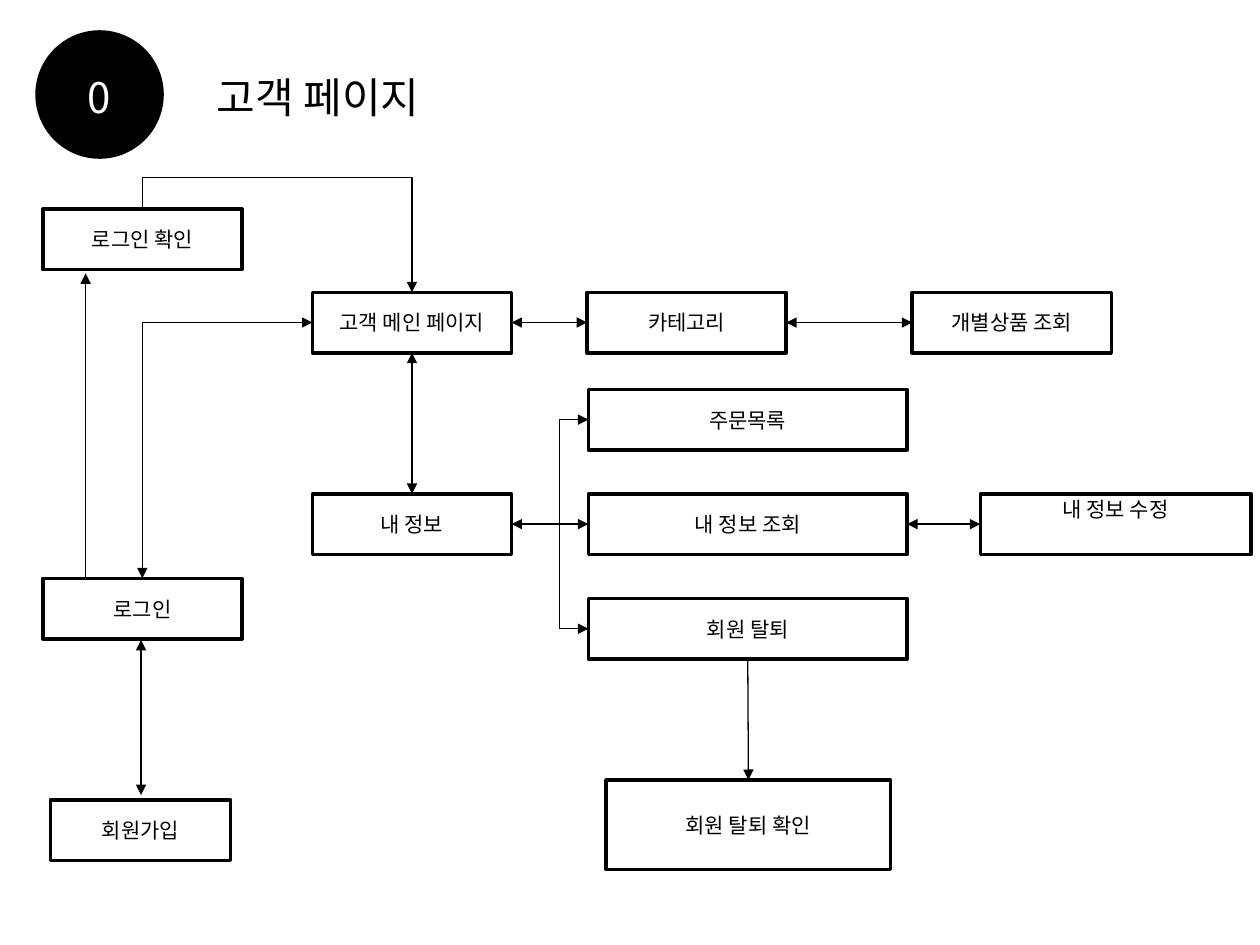
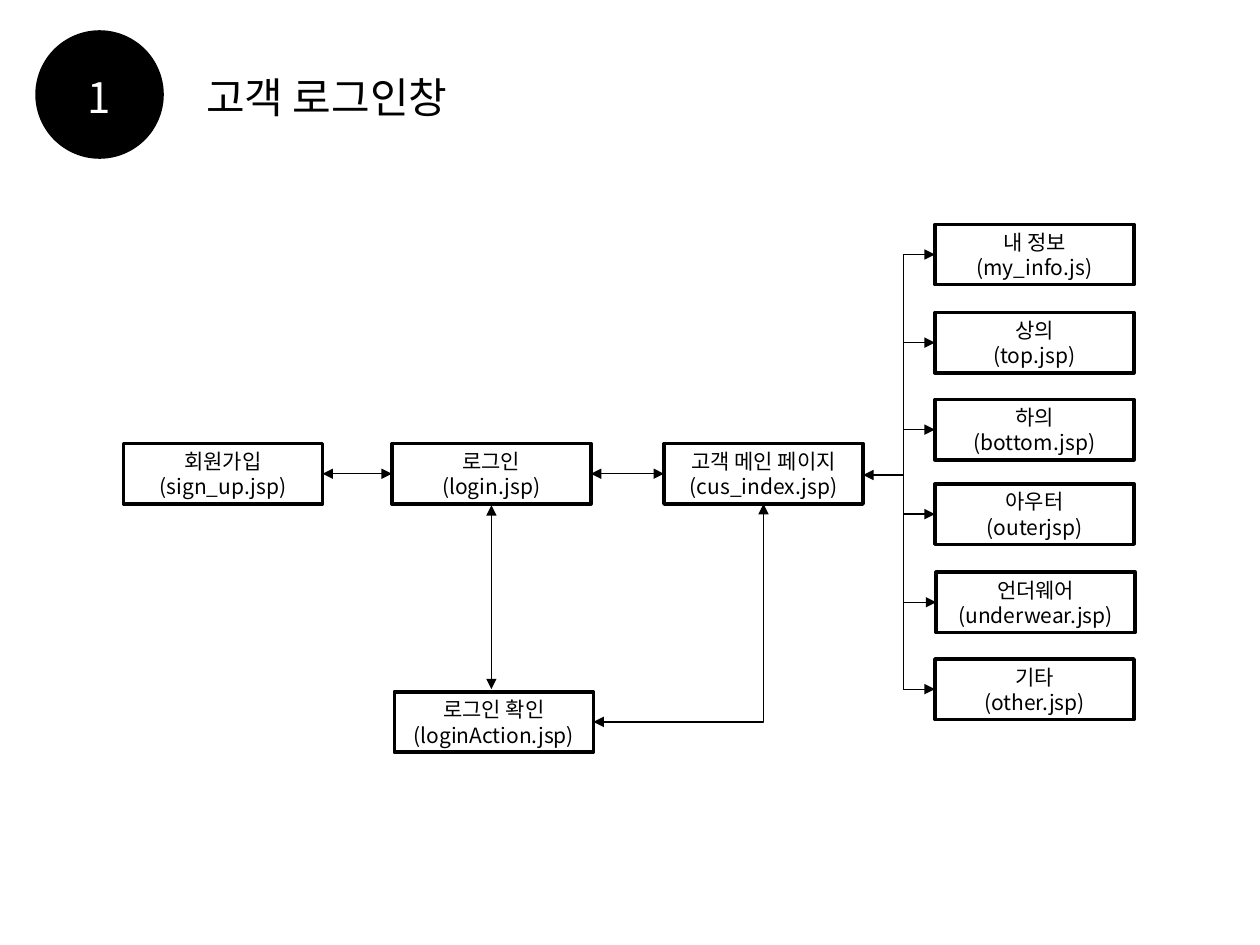
from dataclasses import dataclass
from enum import IntEnum

import pptx
import pptx.dml.color
import pptx.enum.shapes
import pptx.enum.text
import pptx.oxml
import pptx.oxml.ns
import pptx.util
from pptx.util import Inches

BLACK = pptx.dml.color.RGBColor(0, 0, 0)
WHITE = pptx.dml.color.RGBColor(255, 255, 255)
FONT = "Noto Sans CJK KR"
BOX_W, BOX_H = 1.58, 0.48
SHAPES = pptx.enum.shapes.MSO_SHAPE
LINES = pptx.enum.shapes.MSO_CONNECTOR
ANCHOR = pptx.enum.text.MSO_ANCHOR
qn = pptx.oxml.ns.qn


class Site(IntEnum):
    TOP = 0
    LEFT = 1
    BOTTOM = 2
    RIGHT = 3


@dataclass
class Box:
    text: str
    x: float
    y: float
    w: float = BOX_W
    h: float = BOX_H
    anchor: ANCHOR = ANCHOR.MIDDLE
    inset_top: float = 0.05


@dataclass
class Link:
    start: str
    start_site: Site
    end: str
    end_site: Site
    bent: bool = False
    both: bool = True


@dataclass
class Arrow:
    x1: float
    y1: float
    x2: float
    y2: float
    head: bool = False
    tail: bool = True


def sub(parent, tag: str, **attrs: str):
    el = pptx.oxml.parse_xml(f"<{tag} {pptx.oxml.ns.nsdecls('a')}/>")
    for key, value in attrs.items():
        el.set(key, value)
    parent.append(el)
    return el


def write(sp, text: str, size: float = 12, color=BLACK,
          anchor=ANCHOR.MIDDLE, inset_top: float = 0.05) -> None:
    tf = sp.text_frame
    tf.word_wrap = True
    tf.vertical_anchor = anchor
    tf.margin_top = Inches(inset_top)
    for i, line in enumerate(text.split("\n")):
        p = tf.paragraphs[0] if i == 0 else tf.add_paragraph()
        p.alignment = pptx.enum.text.PP_ALIGN.CENTER
        r = p.add_run()
        r.text = line
        r.font.size = pptx.util.Pt(size)
        r.font.color.rgb = color
        r.font.name = FONT
        sub(r.font._element, "a:ea", typeface=FONT)


def add_heading(s, text: str, x: float, w: float, color=BLACK) -> None:
    sp = s.shapes.add_textbox(Inches(x), Inches(0.52), Inches(w), Inches(0.5))
    write(sp, text, size=24, color=color, anchor=ANCHOR.TOP)
    sp.text_frame.auto_size = pptx.enum.text.MSO_AUTO_SIZE.SHAPE_TO_FIT_TEXT


def add_header(s, number: str, title: str, x: float, w: float) -> None:
    sp = s.shapes.add_shape(SHAPES.OVAL, Inches(0.28), Inches(0.24), Inches(1.02), Inches(1.02))
    sp.shadow.inherit = False
    sp.fill.solid()
    sp.fill.fore_color.rgb = BLACK
    sp.line.fill.background()
    add_heading(s, number, 0.2, 1.18, WHITE)
    add_heading(s, title, x, w)


def add_box(s, box: Box):
    sp = s.shapes.add_shape(SHAPES.RECTANGLE, Inches(box.x), Inches(box.y),
                            Inches(box.w), Inches(box.h))
    sp.shadow.inherit = False
    sp.fill.solid()
    sp.fill.fore_color.rgb = WHITE
    sp.line.color.rgb = BLACK
    sp.line.width = pptx.util.Pt(2)
    write(sp, box.text, anchor=box.anchor, inset_top=box.inset_top)
    return sp


def style_line(c, head: bool, tail: bool) -> None:
    c.line.color.rgb = BLACK
    c.line.width = pptx.util.Pt(0.75)
    ln = c.line._get_or_add_ln()
    if head:
        sub(ln, "a:headEnd", type="triangle")
    if tail:
        sub(ln, "a:tailEnd", type="triangle")
    sub(c._element.spPr, "a:effectLst")


def add_arrow(s, arrow: Arrow) -> None:
    c = s.shapes.add_connector(LINES.STRAIGHT, Inches(arrow.x1), Inches(arrow.y1),
                               Inches(arrow.x2), Inches(arrow.y2))
    style_line(c, arrow.head, arrow.tail)


def add_link(s, boxes: dict, link: Link):
    kind = LINES.ELBOW if link.bent else LINES.STRAIGHT
    c = s.shapes.add_connector(kind, 0, 0, 0, 0)
    c.begin_connect(boxes[link.start], link.start_site)
    c.end_connect(boxes[link.end], link.end_site)
    if link.bent:
        c._element.spPr.find(qn("a:prstGeom")).set("prst", "bentConnector2")
    style_line(c, link.both, True)
    return c


def arch_over(c, rise: float) -> None:
    x1, y1, x2, y2 = c.begin_x, c.begin_y, c.end_x, c.end_y
    w, h = y2 - y1, x2 - x1
    c.left, c.top = (x1 + x2 - w) // 2, (y1 + y2 - h) // 2
    c.width, c.height = w, h
    xfrm = c._element.spPr.find(qn("a:xfrm"))
    xfrm.set("rot", str(270 * 60000))
    xfrm.set("flipH", "1")
    geom = c._element.spPr.find(qn("a:prstGeom"))
    geom.set("prst", "bentConnector3")
    for guides in geom.findall(qn("a:avLst")):
        geom.remove(guides)
    adj = round(-Inches(rise) / w * 100000)
    sub(sub(geom, "a:avLst"), "a:gd", name="adj1", fmla=f"val {adj}")


def add_bracket(s, x: float, targets: list[Box]) -> None:
    middles = [box.y + box.h / 2 for box in targets]
    add_arrow(s, Arrow(x, middles[0], x, middles[-1], tail=False))
    for box, y in zip(targets, middles):
        add_arrow(s, Arrow(x, y, box.x, y))


def add_flow(s, boxes: list[Box], links: list[Link], arrows: list[Arrow]) -> dict:
    drawn = {box.text.split("\n")[0]: add_box(s, box) for box in boxes}
    for link in links:
        add_link(s, drawn, link)
    for arrow in arrows:
        add_arrow(s, arrow)
    return drawn


def build_customer_pages(s) -> None:
    add_header(s, "0", "고객 페이지", 1.15, 2.75)
    info_pages = [Box(text, 4.67, 3.09 + 0.83 * i, 2.53)
                  for i, text in enumerate(["주문목록", "내 정보 조회", "회원 탈퇴"])]
    boxes = [
        Box("고객 메인 페이지", 2.48, 2.32),
        Box("카테고리", 4.66, 2.32),
        Box("개별상품 조회", 7.24, 2.32),
        Box("회원가입", 0.4, 6.35, 1.43),
        Box("로그인", 0.34, 4.59),
        Box("로그인 확인", 0.34, 1.66),
        Box("내 정보", 2.48, 3.92),
        *info_pages,
        Box("내 정보 수정", 7.78, 3.92, 2.15, anchor=ANCHOR.TOP, inset_top=0.02),
        Box("회원 탈퇴 확인", 4.81, 6.19, 2.26, 0.71),
    ]
    links = [
        Link("고객 메인 페이지", Site.LEFT, "로그인", Site.TOP, bent=True),
        Link("고객 메인 페이지", Site.RIGHT, "카테고리", Site.LEFT),
        Link("카테고리", Site.RIGHT, "개별상품 조회", Site.LEFT),
        Link("고객 메인 페이지", Site.BOTTOM, "내 정보", Site.TOP),
        Link("내 정보", Site.RIGHT, "내 정보 조회", Site.LEFT),
        Link("내 정보 조회", Site.RIGHT, "내 정보 수정", Site.LEFT),
        Link("회원 탈퇴", Site.BOTTOM, "회원 탈퇴 확인", Site.TOP, both=False),
    ]
    arrows = [
        Arrow(1.12, 6.31, 1.12, 5.08, head=True),
        Arrow(0.68, 4.59, 0.68, 2.17),
    ]
    drawn = add_flow(s, boxes, links, arrows)
    add_bracket(s, 4.44, [info_pages[0], info_pages[-1]])
    confirmed = Link("로그인 확인", Site.TOP, "고객 메인 페이지", Site.TOP, bent=True, both=False)
    arch_over(add_link(s, drawn, confirmed), 0.25)


def build_login(s) -> None:
    add_header(s, "1", "고객 로그인창", 1.18, 2.83)
    menu = [
        Box("내 정보\n(my_info.js)", 7.42, 1.78),
        Box("상의\n(top.jsp)", 7.42, 2.48),
        Box("하의\n(bottom.jsp)", 7.42, 3.17),
        Box("아우터\n(outerjsp)", 7.42, 3.84),
        Box("언더웨어\n(underwear.jsp)", 7.43, 4.54),
        Box("기타\n(other.jsp)", 7.42, 5.23),
    ]
    boxes = [
        Box("회원가입\n(sign_up.jsp)", 0.98, 3.52),
        Box("로그인\n(login.jsp)", 3.11, 3.52),
        Box("로그인 확인\n(loginAction.jsp)", 3.13, 5.49),
        Box("고객 메인 페이지\n(cus_index.jsp)", 5.27, 3.52),
        *menu,
    ]
    links = [
        Link("회원가입", Site.RIGHT, "로그인", Site.LEFT),
        Link("로그인", Site.RIGHT, "고객 메인 페이지", Site.LEFT),
        Link("로그인 확인", Site.RIGHT, "고객 메인 페이지", Site.BOTTOM, bent=True),
    ]
    arrows = [
        Arrow(3.9, 4.01, 3.9, 5.47, head=True),
        Arrow(7.17, 3.77, 6.85, 3.77),
    ]
    add_flow(s, boxes, links, arrows)
    add_bracket(s, 7.17, menu)


def main() -> None:
    prs = pptx.Presentation()
    prs.slide_width, prs.slide_height = Inches(10), Inches(7.5)
    for build in (build_customer_pages, build_login):
        build(prs.slides.add_slide(prs.slide_layouts[6]))
    prs.save("out.pptx")


if __name__ == "__main__":
    main()
